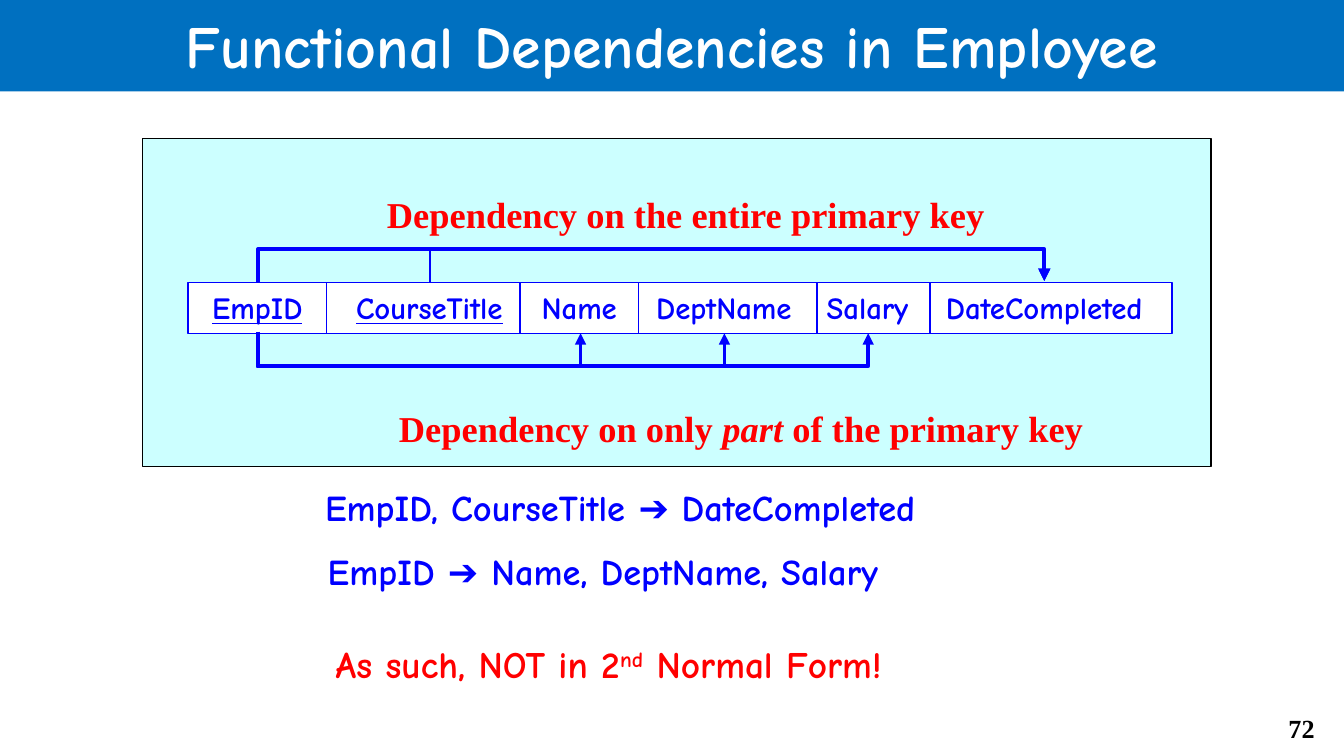
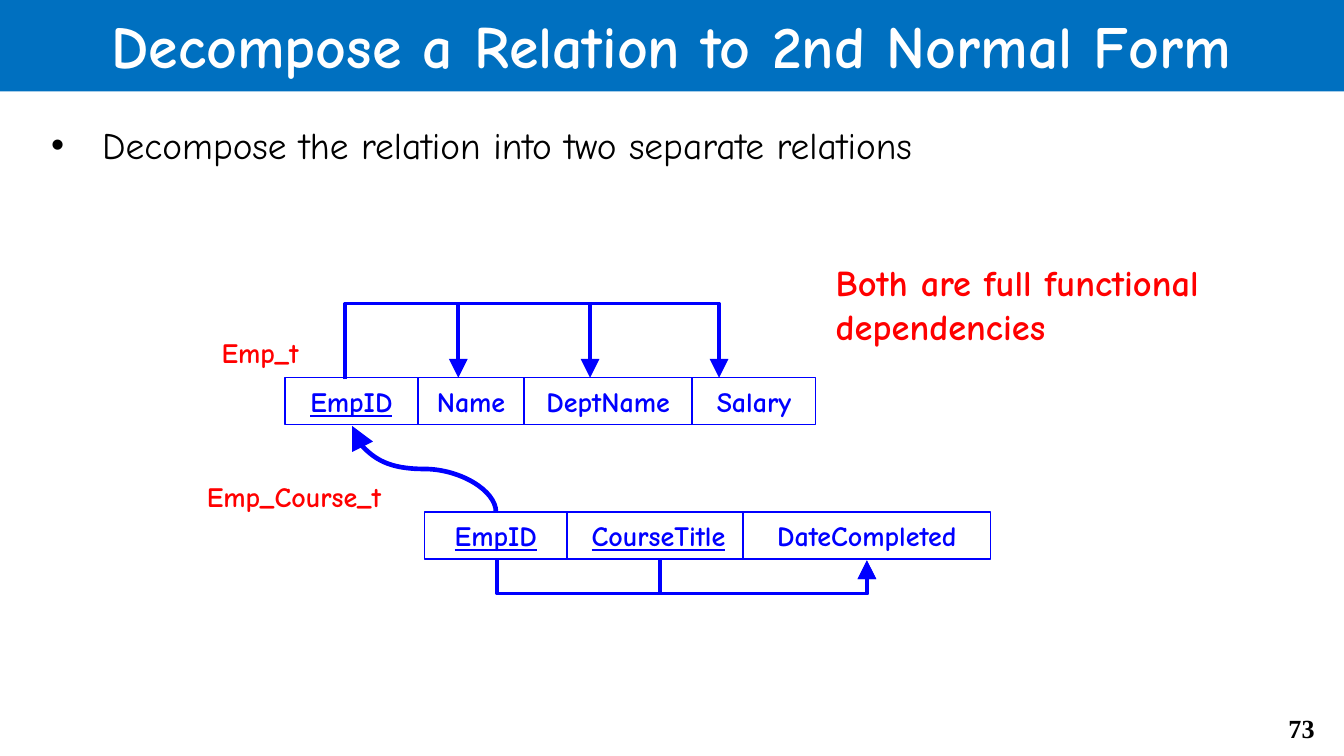
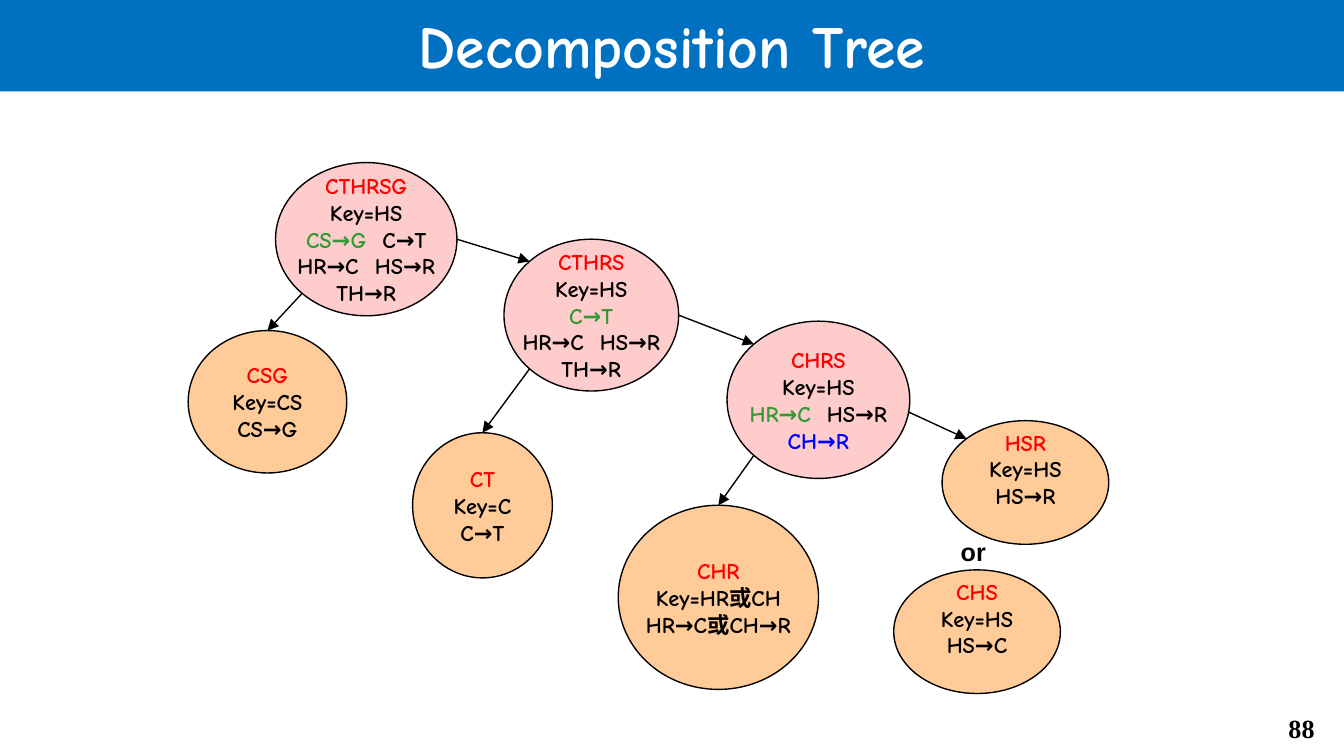
from dataclasses import dataclass, replace
from math import cos, radians, sin

from lxml.etree import SubElement
from pptx import Presentation
from pptx.dml.color import RGBColor
from pptx.enum.shapes import MSO_CONNECTOR, MSO_SHAPE
from pptx.enum.text import MSO_ANCHOR, MSO_AUTO_SIZE, PP_ALIGN
from pptx.oxml.ns import qn
from pptx.util import Inches, Pt

WIDTH = Inches(10)
HEIGHT = WIDTH * 9 // 16
UNIT = WIDTH / 10


@dataclass(frozen=True)
class TextStyle:
    size: float
    color: str
    font: str = "Comic Neue"
    bold: bool = True
    italic: bool = False
    underline: bool = False
    raised: bool = False
    tracking: float = 0


@dataclass(frozen=True)
class Theme:
    band: str = "0070C0"
    panel: str = "CCFFFF"
    white: str = "FFFFFF"
    black: str = "000000"
    blue: str = "0000FF"
    red: str = "FF0000"
    green: str = "339933"
    split_node: str = "FFCCCC"
    final_node: str = "FFCC99"
    thin: float = 0.75
    medium: float = 2
    thick: float = 2.25
    heavy: float = 2.5
    title: TextStyle = TextStyle(32, "FFFFFF")
    number: TextStyle = TextStyle(14, "000000", "Times New Roman")
    bullet: TextStyle = TextStyle(20, "000000", bold=False)
    heading: TextStyle = TextStyle(19.5, "FF0000", "Times New Roman")
    dependency: TextStyle = TextStyle(19.5, "0000FF")
    remark: TextStyle = TextStyle(19.5, "FF0000")
    verdict: TextStyle = TextStyle(20, "FF0000")
    relation: TextStyle = TextStyle(15, "FF0000")
    wide_field: TextStyle = TextStyle(16.5, "0000FF")
    field: TextStyle = TextStyle(15, "0000FF")
    node: TextStyle = TextStyle(12, "000000")
    alternative: TextStyle = TextStyle(13.5, "000000", "Arial")


THEME = Theme()


def units(count):
    return round(count * UNIT)


def area(*box):
    return [units(length) for length in box]


def move(part, box):
    part.left, part.top, part.width, part.height = area(*box)


def write(paragraph, pieces, style, align=PP_ALIGN.LEFT):
    paragraph.alignment = align
    paragraph.space_before = Pt(0)
    for text, changes in pieces:
        run = paragraph.add_run()
        run.text = text
        look = replace(style, **changes)
        run.font.name = look.font
        run.font.size = Pt(look.size)
        run.font.bold = look.bold
        run.font.italic = look.italic
        run.font.underline = look.underline
        run.font.color.rgb = RGBColor.from_string(look.color)
        if look.raised:
            run._r.get_or_add_rPr().set("baseline", "30000")
        if look.tracking:
            run._r.get_or_add_rPr().set("spc", str(round(look.tracking * 100)))


def caption(slide, box, pieces, style, wrap=False, align=PP_ALIGN.LEFT):
    frame = slide.shapes.add_textbox(*area(*box)).text_frame
    frame.word_wrap = wrap
    frame.auto_size = MSO_AUTO_SIZE.SHAPE_TO_FIT_TEXT
    if isinstance(pieces, str):
        pieces = [(pieces, {})]
    write(frame.paragraphs[0], pieces, style, align)


def outlined(slide, preset, box, fill, line):
    part = slide.shapes.add_shape(preset, *area(*box))
    part.shadow.inherit = False
    part.fill.solid()
    part.fill.fore_color.rgb = RGBColor.from_string(fill)
    part.line.color.rgb = RGBColor.from_string(line)
    part.line.width = Pt(THEME.thin)
    return part


def relation_fields(slide, top, height, fields, style):
    for name, left, width, is_key in fields:
        field = outlined(slide, MSO_SHAPE.RECTANGLE, (left, top, width, height),
                         THEME.white, THEME.blue)
        frame = field.text_frame
        frame.vertical_anchor = MSO_ANCHOR.TOP
        frame.auto_size = MSO_AUTO_SIZE.SHAPE_TO_FIT_TEXT
        write(frame.paragraphs[0], [(name, {"underline": is_key})], style, PP_ALIGN.CENTER)


def arrow(slide, kind, start, end, color, width, head="med"):
    connector = slide.shapes.add_connector(kind, *area(*start, *end))
    connector.line.color.rgb = RGBColor.from_string(color)
    connector.line.width = Pt(width)
    properties = connector._element.spPr
    SubElement(properties.find(qn("a:ln")), qn("a:tailEnd"), type="triangle", w=head, len=head)
    SubElement(properties, qn("a:effectLst"))
    return connector


def vertical_arrow(slide, start, end, turn, width=THEME.medium, head="med",
                   kind=MSO_CONNECTOR.ELBOW):
    connector = arrow(slide, kind, start, end, THEME.blue, width, head)
    (start_x, start_y), (end_x, end_y) = start, end
    rise, run = start_y - end_y, end_x - start_x
    length, spread = abs(rise), abs(run)
    move(connector, ((start_x + end_x - length) / 2, (start_y + end_y - spread) / 2,
                     length, spread))
    properties = connector._element.spPr
    frame = properties.find(qn("a:xfrm"))
    frame.set("rot", str(270 * 60000))
    frame.set("flipH", str(int(rise < 0)))
    frame.set("flipV", str(int(run < 0)))
    share = round((start_y - turn) / rise * 100000)
    SubElement(properties.find(qn("a:prstGeom")).find(qn("a:avLst")), qn("a:gd"),
               name="adj1", fmla=f"val {share}")


def start_slide(deck, layout, title, number):
    slide = deck.slides.add_slide(deck.slide_layouts[layout])
    band = slide.shapes.title
    move(band, (0, -0.02, 10, 0.7))
    band.fill.solid()
    band.fill.fore_color.rgb = RGBColor.from_string(THEME.band)
    band.text_frame.auto_size = MSO_AUTO_SIZE.NONE
    band.text_frame.vertical_anchor = MSO_ANCHOR.MIDDLE
    write(band.text_frame.paragraphs[0], [(title, {})], THEME.title, PP_ALIGN.CENTER)
    caption(slide, (9.25, 5.25, 0.63, 0.34), number, THEME.number, True, PP_ALIGN.RIGHT)
    return slide


def add_dependencies(deck):
    slide = start_slide(deck, 5, "Functional Dependencies in Employee", "72")
    outlined(slide, MSO_SHAPE.RECTANGLE, (1.06, 1.03, 7.95, 2.44), THEME.panel, THEME.black)
    relation_fields(slide, 2.1, 0.38, [
        ("EmpID", 1.4, 1.03, True),
        ("CourseTitle", 2.43, 1.53, True),
        ("DateCompleted", 6.82, 1.9, False),
        ("Salary", 5.99, 0.93, False),
        ("DeptName", 4.69, 1.39, False),
        ("Name", 3.87, 0.88, False),
    ], THEME.wide_field)
    caption(slide, (2.78, 1.38, 4.68, 0.43), "Dependency on the entire primary key",
            THEME.heading)
    caption(slide, (2.87, 2.97, 5.33, 0.43), [
        ("Dependency on only ", {}), ("part", {"italic": True}), (" of the primary key", {}),
    ], THEME.heading)
    for key_x, width in ((1.92, THEME.thick), (3.2, THEME.thin)):
        vertical_arrow(slide, (key_x, 2.1), (7.77, 2.09), 1.85, width)
    caption(slide, (2.32, 3.56, 5.32, 0.43), "EmpID, CourseTitle ➔ DateCompleted",
            THEME.dependency)
    for field_x in (4.32, 5.39, 6.46):
        vertical_arrow(slide, (1.92, 2.47), (field_x, 2.48), 2.73)
    caption(slide, (2.34, 4.04, 5.04, 0.43), "EmpID ➔ Name, DeptName, Salary",
            THEME.dependency)
    caption(slide, (2.4, 4.72, 4.93, 0.44), [
        ("As such, NOT in 2", {}), ("nd", {"raised": True}), (" Normal Form!", {}),
    ], THEME.verdict)


def add_second_normal_form(deck):
    slide = start_slide(deck, 1, "Decompose a Relation to 2nd Normal Form", "73")
    body = slide.placeholders[1]
    move(body, (0.28, 0.86, 9.37, 4.16))
    body.text_frame.auto_size = MSO_AUTO_SIZE.NONE
    step = body.text_frame.paragraphs[0]
    indent = step._p.get_or_add_pPr()
    indent.set("marL", str(units(0.38)))
    indent.set("indent", str(-units(0.38)))
    SubElement(indent, qn("a:buFont"), typeface="Arial")
    SubElement(indent, qn("a:buChar"), char="•")
    write(step, [("Decompose the relation into two separate relations", {})], THEME.bullet)
    caption(slide, (6.12, 1.89, 3.37, 0.76), "Both are full functional dependencies",
            THEME.remark, True)
    relation_fields(slide, 2.81, 0.35, [
        ("EmpID", 2.12, 0.99, True),
        ("Salary", 5.15, 0.92, False),
        ("DeptName", 3.9, 1.25, False),
        ("Name", 3.11, 0.79, False),
    ], THEME.field)
    relation_fields(slide, 3.81, 0.35, [
        ("CourseTitle", 4.16, 1.48, True),
        ("DateCompleted", 5.53, 1.84, False),
        ("EmpID", 3.16, 1.06, True),
    ], THEME.field)
    vertical_arrow(slide, (3.69, 3.81), (2.62, 3.17), 3.49, THEME.heavy, "lg",
                   MSO_CONNECTOR.CURVE)
    for field_x in (3.41, 4.39, 5.35):
        vertical_arrow(slide, (2.57, 2.82), (field_x, 2.81), 2.25, head="lg")
    for key_x in (3.7, 4.91):
        vertical_arrow(slide, (key_x, 4.16), (6.45, 4.17), 4.42, head="lg")
    caption(slide, (1.55, 2.45, 0.85, 0.35), "Emp_t", THEME.relation)
    caption(slide, (1.44, 3.52, 1.69, 0.35), "Emp_Course_t", THEME.relation)


def tree_node(slide, box, fill, relation, lines, lift=0):
    node = outlined(slide, MSO_SHAPE.OVAL, box, fill, THEME.black)
    frame = node.text_frame
    frame.word_wrap = False
    frame.vertical_anchor = MSO_ANCHOR.MIDDLE
    frame.margin_bottom = units(0.05 + lift)
    rows = [[(relation, {"color": THEME.red})]]
    rows += [[(line, {})] if isinstance(line, str) else line for line in lines]
    for index, pieces in enumerate(rows):
        paragraph = frame.add_paragraph() if index else frame.paragraphs[0]
        write(paragraph, pieces, THEME.node, PP_ALIGN.CENTER)


def rim(box, degrees):
    left, top, width, height = box
    angle = radians(degrees)
    return (left + width * (1 + cos(angle)) / 2, top + height * (1 - sin(angle)) / 2)


def branch(slide, start, end):
    arrow(slide, MSO_CONNECTOR.STRAIGHT, start, end, THEME.black, THEME.thin)


def add_decomposition_tree(deck):
    slide = start_slide(deck, 5, "Decomposition Tree", "88")
    chosen, derived = {"color": THEME.green}, {"color": THEME.blue}
    gap = (" ", {"tracking": 4.3})
    kept = [("HR→C", {}), gap, ("HS→R", {})]
    boxes = {
        "CTHRSG": (2.05, 1.21, 1.35, 1.14),
        "CSG": (1.4, 2.46, 1.18, 1.06),
        "CTHRS": (3.75, 1.78, 1.3, 1.13),
        "CT": (3.07, 3.22, 1.04, 1.08),
        "CHRS": (5.41, 2.39, 1.36, 1.17),
        "CHR": (4.6, 3.76, 1.49, 1.37),
        "CHS": (6.65, 4.24, 1.24, 0.92),
        "HSR": (7.01, 3.13, 1.24, 0.92),
    }
    split_nodes = {
        "CTHRSG": ["Key=HS", [("CS→G", chosen), gap, ("C→T", {})], kept, "TH→R"],
        "CTHRS": ["Key=HS", [("C→T", chosen)], kept, "TH→R"],
        "CHRS": ["Key=HS", [("HR→C", chosen), gap, ("HS→R", {})], [("CH→R", derived)]],
    }
    final_nodes = {
        "CSG": (["Key=CS", "CS→G"], 0),
        "CT": (["Key=C", "C→T"], 0),
        "CHR": (["Key=HR或CH", "HR→C或CH→R"], 0),
        "CHS": (["Key=HS", "HS→C"], 0.2),
        "HSR": (["Key=HS", "HS→R"], 0.2),
    }
    for relation, lines in split_nodes.items():
        tree_node(slide, boxes[relation], THEME.split_node, relation, lines)
    for relation, (lines, lift) in final_nodes.items():
        tree_node(slide, boxes[relation], THEME.final_node, relation, lines, lift)
    for parent, left_child, right_child, right_angle in (
            ("CTHRSG", "CSG", "CTHRS", 0),
            ("CTHRS", "CT", "CHRS", 0),
            ("CHRS", "CHR", "HSR", -9)):
        branch(slide, rim(boxes[parent], 225), rim(boxes[left_child], 90))
        branch(slide, rim(boxes[parent], right_angle), rim(boxes[right_child], 135))
    caption(slide, (7.05, 3.94, 0.39, 0.33), "or", THEME.alternative)


def main():
    deck = Presentation()
    deck.slide_width, deck.slide_height = WIDTH, HEIGHT
    add_dependencies(deck)
    add_second_normal_form(deck)
    add_decomposition_tree(deck)
    deck.save("out.pptx")


if __name__ == "__main__":
    main()
